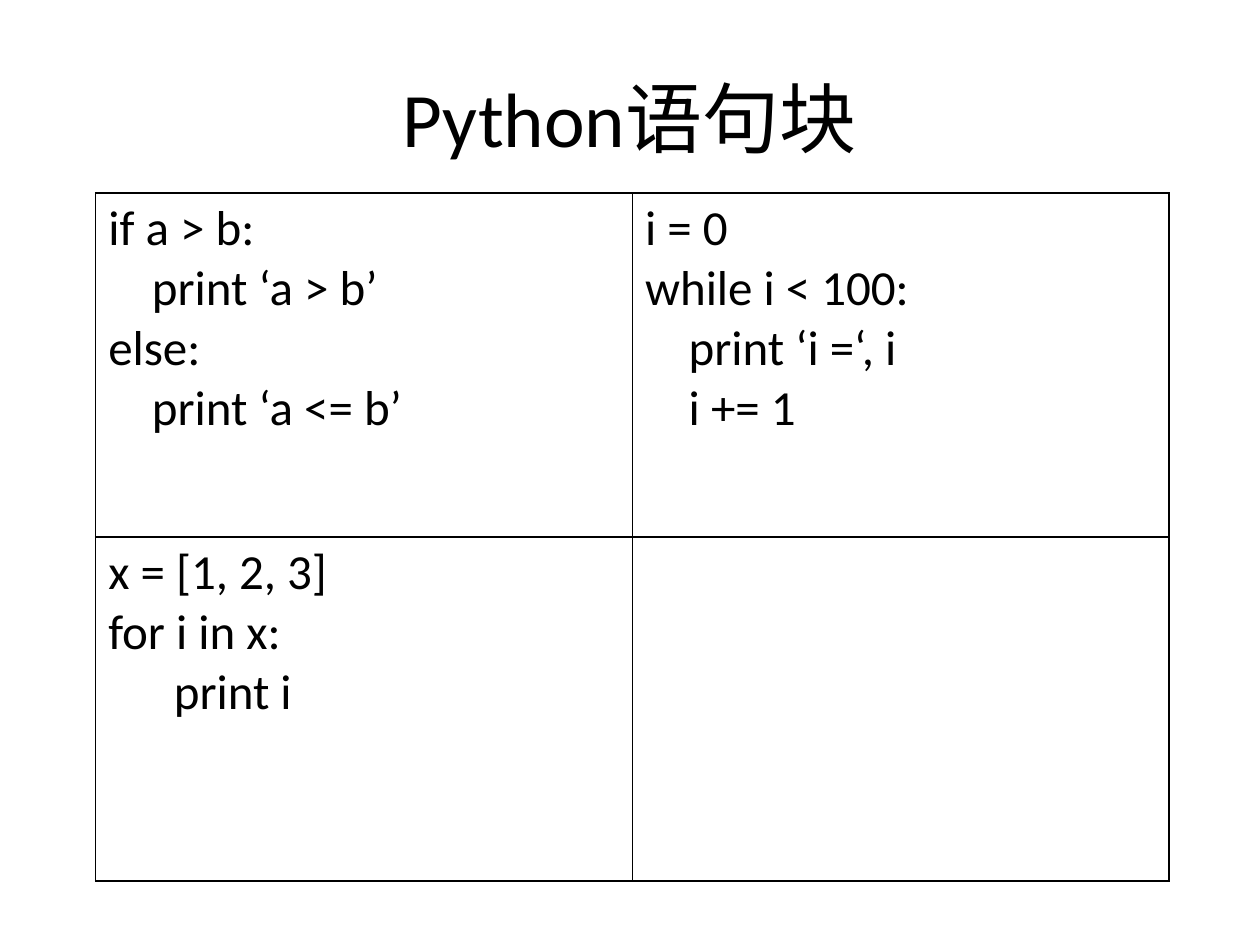
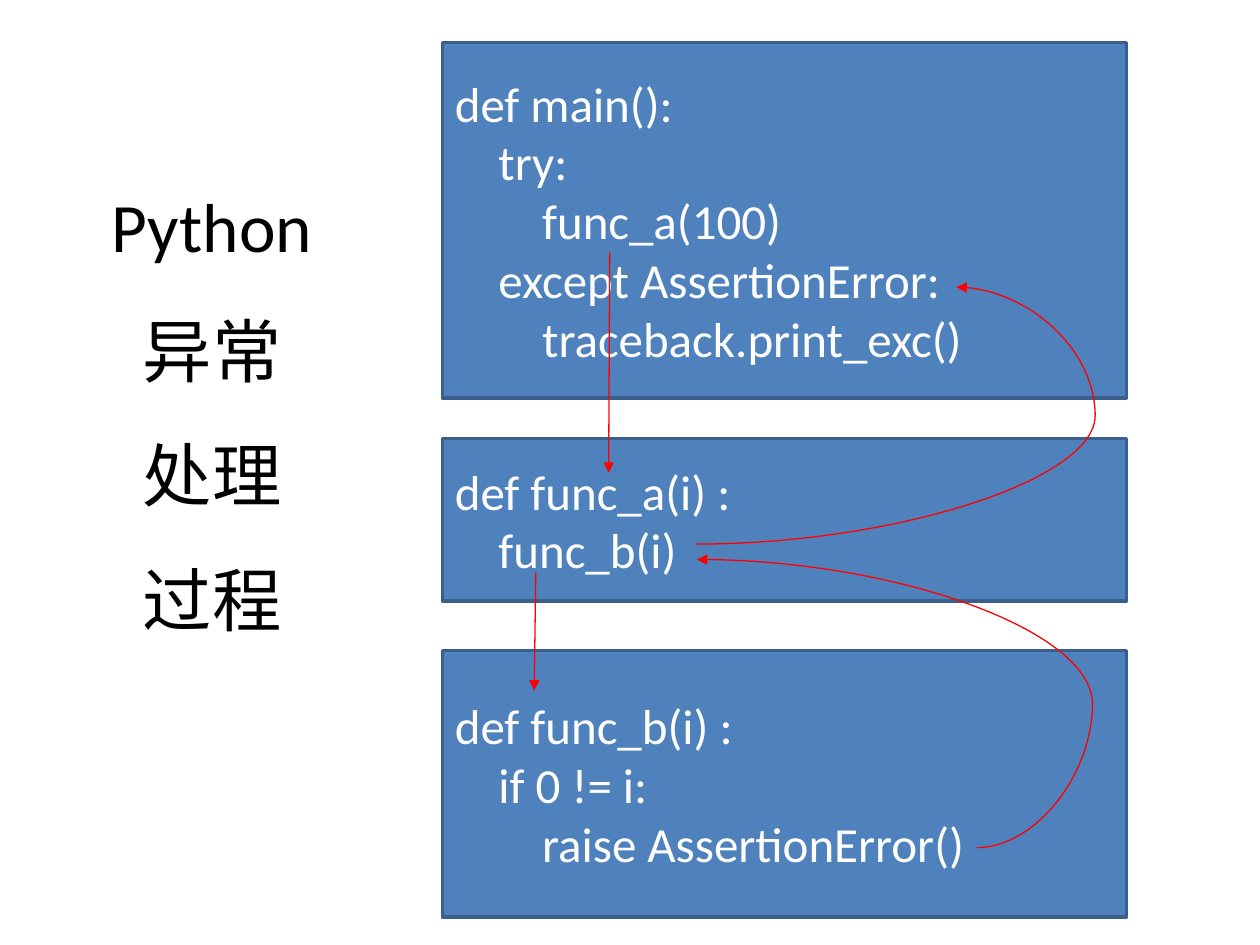
from lxml import etree
from pptx import Presentation
from pptx.dml.color import RGBColor
from pptx.enum.shapes import MSO_CONNECTOR, MSO_SHAPE
from pptx.enum.text import MSO_ANCHOR, PP_ALIGN
from pptx.oxml.ns import qn
from pptx.util import Cm, Pt

LEFT, CENTER = PP_ALIGN.LEFT, PP_ALIGN.CENTER
MIDDLE = MSO_ANCHOR.MIDDLE
RECT = MSO_SHAPE.RECTANGLE
LINE, CURVE = MSO_CONNECTOR.STRAIGHT, MSO_CONNECTOR.CURVE

COLORS = {"ink": "000000", "paper": "FFFFFF", "box": "4F81BD",
          "edge": "3A5F8C", "arrow": "FF0000"}
FONT = "Calibri"
SPACE = 0.22

GRID = [
    [["if a > b:", (4, "print ‘a > b’"), "else:", (4, "print ‘a <= b’")],
     ["i = 0", "while i < 100:", (4, "print ‘i =‘, i"), (4, "i += 1")]],
    [["x = [1, 2, 3]", "for i in x:", (6, "print i")], []],
]
BOXES = [
    (0.86, 7.16, ["def main():", (4, "try:"), (8, "func_a(100)"),
                  (4, "except AssertionError:"),
                  (8, "traceback.print_exc()")]),
    (8.84, 3.28, ["def func_a(i) :", (4, "func_b(i)")]),
    (13.11, 5.38, ["def func_b(i) :", (4, "if 0 != i:"),
                   (8, "raise AssertionError()")]),
]
CALLS = [((12.29, 5.08), (12.27, 9.53)), ((10.8, 11.53), (10.77, 13.92))]
RAISES = [((19.69, 17.09), (14.05, 11.28), -41400),
          ((14.02, 10.97), (19.28, 5.79), 153200)]


def rgb(name):
    return RGBColor.from_string(COLORS[name])


def write(frame, lines, size=28, color="ink", align=LEFT, spacing=None):
    frame.word_wrap = True
    for row, line in enumerate(lines):
        depth, words = (0, line) if isinstance(line, str) else line
        para = frame.paragraphs[0] if row == 0 else frame.add_paragraph()
        para.alignment = align
        if spacing:
            para.line_spacing = spacing
        if depth:
            para._p.get_or_add_pPr().set("marL", str(Cm(depth * SPACE)))
        run = para.add_run()
        run.text = words
        run.font.name = FONT
        run.font.size = Pt(size)
        run.font.color.rgb = rgb(color)


def add_title(slide, lines, place, **style):
    frame = slide.shapes.add_textbox(*map(Cm, place)).text_frame
    frame.vertical_anchor = MIDDLE
    write(frame, lines, align=CENTER, **style)


def border(cell):
    props = cell._tc.get_or_add_tcPr()
    for order, side in enumerate(("lnL", "lnR", "lnT", "lnB")):
        edge = etree.Element(qn("a:" + side), w=str(Pt(1)))
        fill = etree.SubElement(edge, qn("a:solidFill"))
        etree.SubElement(fill, qn("a:srgbClr"), val=COLORS["ink"])
        props.insert(order, edge)


def add_grid(slide, grid, place):
    table = slide.shapes.add_table(len(grid), len(grid[0]),
                                   *map(Cm, place)).table
    table.first_row = table.horz_banding = False
    for row, cells in enumerate(grid):
        for col, lines in enumerate(cells):
            cell = table.cell(row, col)
            cell.fill.background()
            border(cell)
            write(cell.text_frame, lines)


def add_box(slide, top, height, lines):
    box = slide.shapes.add_shape(RECT, Cm(8.92), Cm(top), Cm(13.79),
                                 Cm(height))
    box.shadow.inherit = False
    box.fill.solid()
    box.fill.fore_color.rgb = rgb("box")
    box.line.color.rgb = rgb("edge")
    box.line.width = Pt(2)
    box.text_frame.vertical_anchor = MIDDLE
    write(box.text_frame, lines, color="paper")


def add_arrow(slide, start, end, bend=None):
    kind = LINE if bend is None else CURVE
    arrow = slide.shapes.add_connector(kind, *map(Cm, start + end))
    arrow.line.color.rgb = rgb("arrow")
    arrow.line.width = Pt(0.75)
    props = arrow._element.spPr
    etree.SubElement(props.find(qn("a:ln")), qn("a:tailEnd"),
                     type="triangle")
    etree.SubElement(props, qn("a:effectLst"))
    if bend is not None:
        guides = props.find(qn("a:prstGeom")).get_or_add_avLst()
        etree.SubElement(guides, qn("a:gd"), name="adj1",
                         fmla=f"val {bend}")


def main():
    deck = Presentation()
    deck.slide_width, deck.slide_height = Cm(25.4), Cm(19.05)
    blank = deck.slide_layouts[6]

    blocks = deck.slides.add_slide(blank)
    add_title(blocks, ["Python语句块"], (1.27, 0.76, 22.86, 3.18), size=44)
    add_grid(blocks, GRID, (1.93, 3.89, 21.64, 13.87))

    errors = deck.slides.add_slide(blank)
    for box in BOXES:
        add_box(errors, *box)
    for arrow in RAISES + CALLS:
        add_arrow(errors, *arrow)
    add_title(errors, ["Python", "异常", "处理", "过程"],
              (1.75, 3.15, 5.05, 9.47), size=39.6, spacing=1.5)

    deck.save("out.pptx")


if __name__ == "__main__":
    main()
